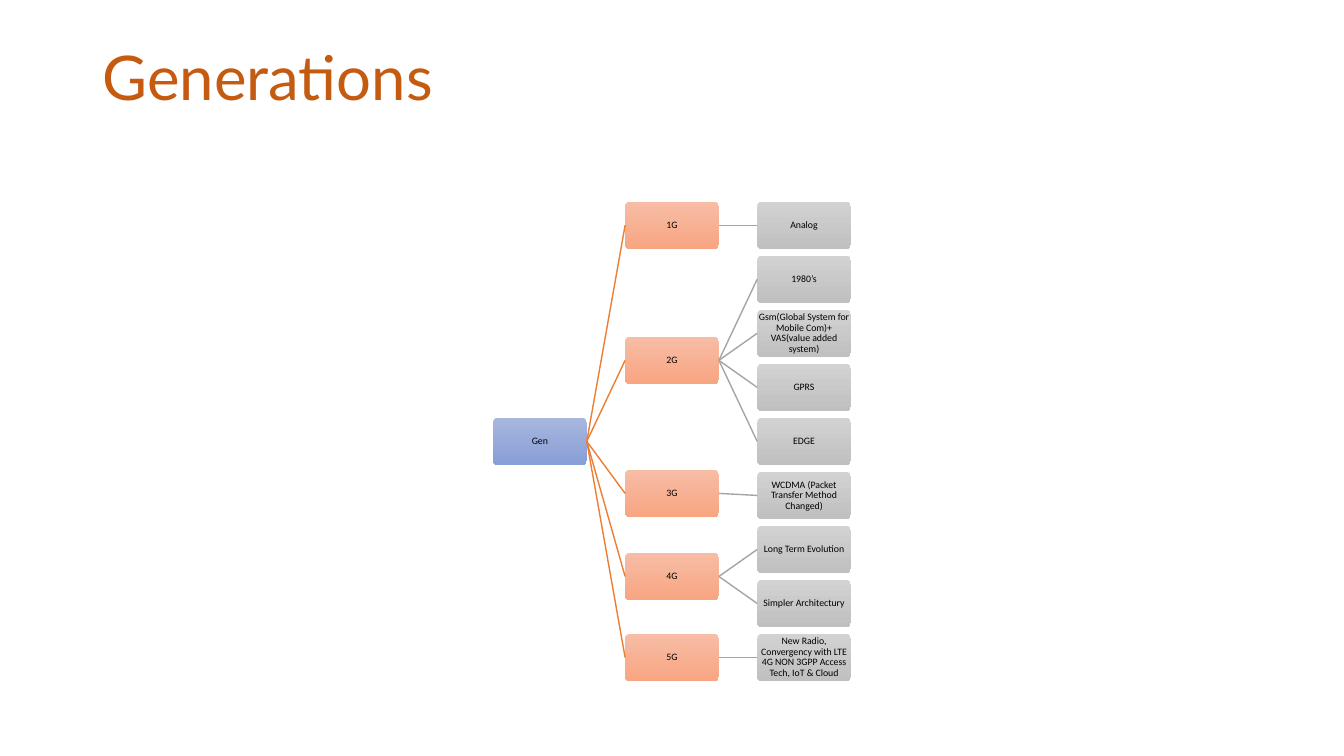
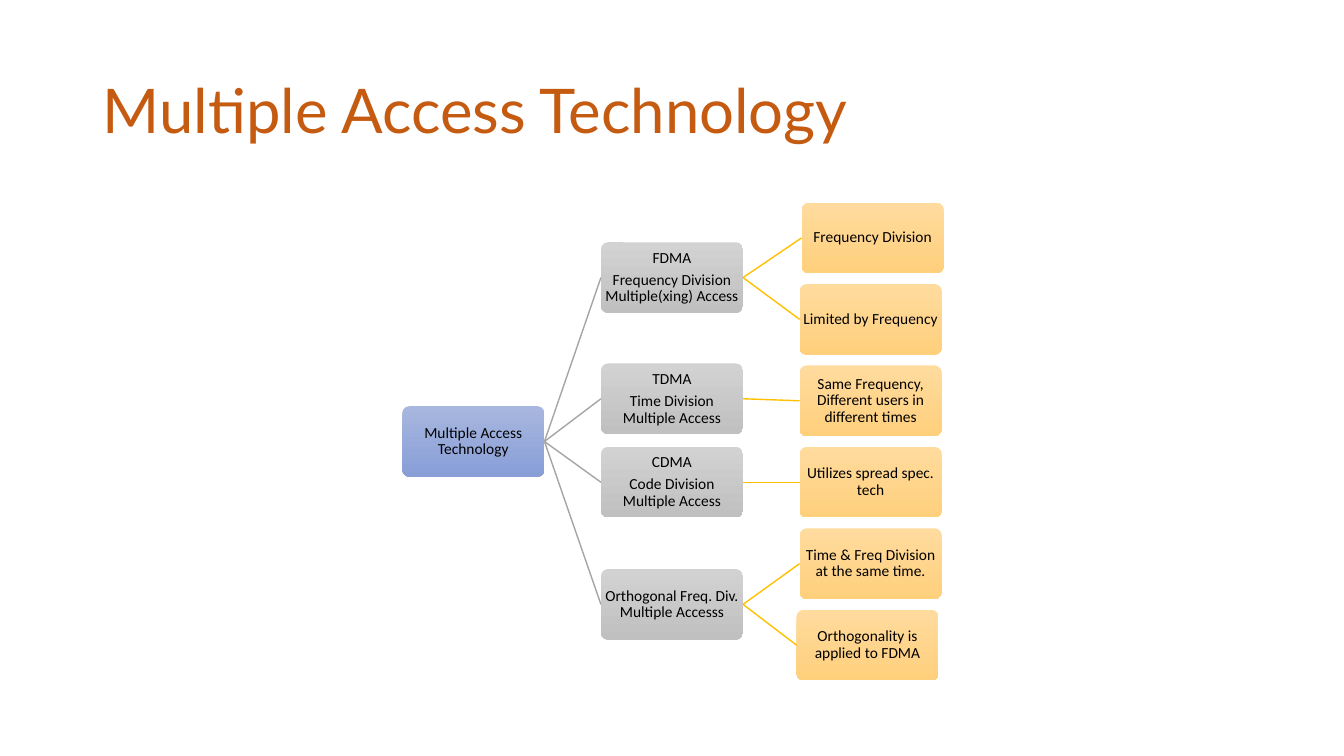
from lxml.etree import SubElement
from pptx import Presentation
from pptx.dml.color import RGBColor
from pptx.enum.shapes import MSO_CONNECTOR as Connector, MSO_SHAPE as Shape
from pptx.enum.text import MSO_ANCHOR as Anchor, PP_ALIGN as Align
from pptx.oxml.ns import qn
from pptx.util import Emu, Pt

PX = 9144  # 100 px to the inch
SLIDE_SIZE = (1333, 750)
TITLE_FONT, BODY_FONT = "Lato", "Calibri"
COLOURS = {"title": "C55A11", "text": "000000"}
GRADIENTS = {  # top and bottom of each box
    "blue": ("A8B7DF", "889ED7"),
    "orange": ("F7BDA5", "F8A582"),
    "grey": ("D2D2D2", "C0C0C0"),
    "gold": ("FFDB9E", "FFD07C"),
}
LINES = {"orange": "ED7D31", "grey": "A5A5A5", "gold": "FFC000"}
RIGHT_SITE, LEFT_SITE = 3, 1

# Content: each branch is (label, leaves); nudges move single boxes by (x, y)
TREES = [
    {
        "title": "Generations", "title_height": 79,
        "root": "Gen",
        "branches": [
            ("1G", ["Analog"]),
            ("2G", ["1980’s",
                    "Gsm(Global System for Mobile Com)+ VAS(value added system)",
                    "GPRS", "EDGE"]),
            ("3G", ["WCDMA (Packet Transfer Method Changed)"]),
            ("4G", ["Long Term Evolution", "Simpler Architectury"]),
            ("5G", ["New Radio, Convergency with LTE 4G NON 3GPP Access Tech, IoT & Cloud"]),
        ],
        "nudges": {"3G": (0, -2)},
        "colours": ("blue", "orange", "grey"),
        "origin": (489, 200), "pitch": (131, 53.6), "box": (93, 47),
        "size": 7, "inset": 0,
    },
    {
        "title": "Multiple Access Technology", "title_height": 145,
        "root": "Multiple Access Technology",
        "branches": [
            ("FDMA\nFrequency Division Multiple(xing) Access",
             ["Frequency Division", "Limited by Frequency"]),
            ("TDMA\nTime Division Multiple Access",
             ["Same Frequency, Different users in different times"]),
            ("CDMA\nCode Division Multiple Access", ["Utilizes spread spec. tech"]),
            ("Orthogonal Freq. Div. Multiple Accesss",
             ["Time & Freq Division at the same time.",
              "Orthogonality is applied to FDMA"]),
        ],
        "nudges": {
            "Frequency Division": (2, 0),
            "Orthogonality is applied to FDMA": (-3, 0),
            "FDMA\nFrequency Division Multiple(xing) Access": (0, -1),
            "TDMA\nTime Division Multiple Access": (0, -2),
        },
        "colours": ("blue", "grey", "gold"),
        "origin": (399, 201), "pitch": (197, 80.8), "box": (141, 70),
        "size": 11, "inset": 1,
    },
]


def px(*lengths):
    return [Emu(round(length * PX)) for length in lengths]


def style(para, font, size, colour):
    para.line_spacing = 0.9
    for span in para.runs:
        span.font.name, span.font.size = font, Pt(size)
        span.font.color.rgb = RGBColor.from_string(colour)


def add_title(page, text, height):
    frame = page.shapes.add_textbox(*px(92, 40, 1150, height)).text_frame
    frame.word_wrap = True
    frame.vertical_anchor = Anchor.MIDDLE
    frame.text = text
    style(frame.paragraphs[0], TITLE_FONT, 44, COLOURS["title"])


def add_box(page, tree, level, top, text):
    """Draw the box of one node in the column of its level."""
    nudge_x, nudge_y = tree["nudges"].get(text, (0, 0))
    left = tree["origin"][0] + level * tree["pitch"][0] + nudge_x
    box = page.shapes.add_shape(
        Shape.ROUNDED_RECTANGLE, *px(left, top + nudge_y, *tree["box"]))
    box.adjustments[0] = 0.1
    box.shadow.inherit = False
    box.line.fill.background()
    box.fill.gradient()
    box.fill.gradient_angle = 270
    for stop, colour in zip(box.fill.gradient_stops, GRADIENTS[tree["colours"][level]]):
        stop.color.rgb = RGBColor.from_string(colour)
    frame = box.text_frame
    frame.word_wrap = True
    frame.vertical_anchor = Anchor.MIDDLE
    inset, = px(tree["inset"])
    frame.margin_left = frame.margin_right = inset
    frame.margin_top = frame.margin_bottom = inset
    frame.text = text
    for para in frame.paragraphs:
        para.alignment = Align.CENTER
        para.space_after = Pt(round(tree["size"] * 0.35, 1))
        style(para, BODY_FONT, tree["size"], COLOURS["text"])
    return box


def link(page, parent, child, colour):
    line = page.shapes.add_connector(Connector.STRAIGHT, 0, 0, 0, 0)
    line.begin_connect(parent, RIGHT_SITE)
    line.end_connect(child, LEFT_SITE)
    line.line.color.rgb = RGBColor.from_string(LINES[colour])
    line.line.width = Pt(1)
    SubElement(line._element.spPr, qn("a:effectLst"))


def add_tree(page, tree):
    """Stack the leaves evenly and centre every parent on its children."""
    top, step = tree["origin"][1], tree["pitch"][1]
    _, branch_colour, leaf_colour = tree["colours"]
    leaf_count = sum(len(leaves) for _, leaves in tree["branches"])
    first_count, last_count = (len(tree["branches"][i][1]) for i in (0, -1))
    root_row = (leaf_count - 1 + (first_count - last_count) / 2) / 2
    root = add_box(page, tree, 0, top + root_row * step, tree["root"])
    row = 0
    for label, leaves in tree["branches"]:
        middle = row + (len(leaves) - 1) / 2
        branch = add_box(page, tree, 1, top + middle * step, label)
        link(page, root, branch, branch_colour)
        for leaf_text in leaves:
            leaf = add_box(page, tree, 2, top + row * step, leaf_text)
            link(page, branch, leaf, leaf_colour)
            row += 1


def main():
    deck = Presentation()
    deck.slide_width, deck.slide_height = px(*SLIDE_SIZE)
    for tree in TREES:
        page = deck.slides.add_slide(deck.slide_layouts[6])
        add_title(page, tree["title"], tree["title_height"])
        add_tree(page, tree)
    deck.save("out.pptx")


if __name__ == "__main__":
    main()
